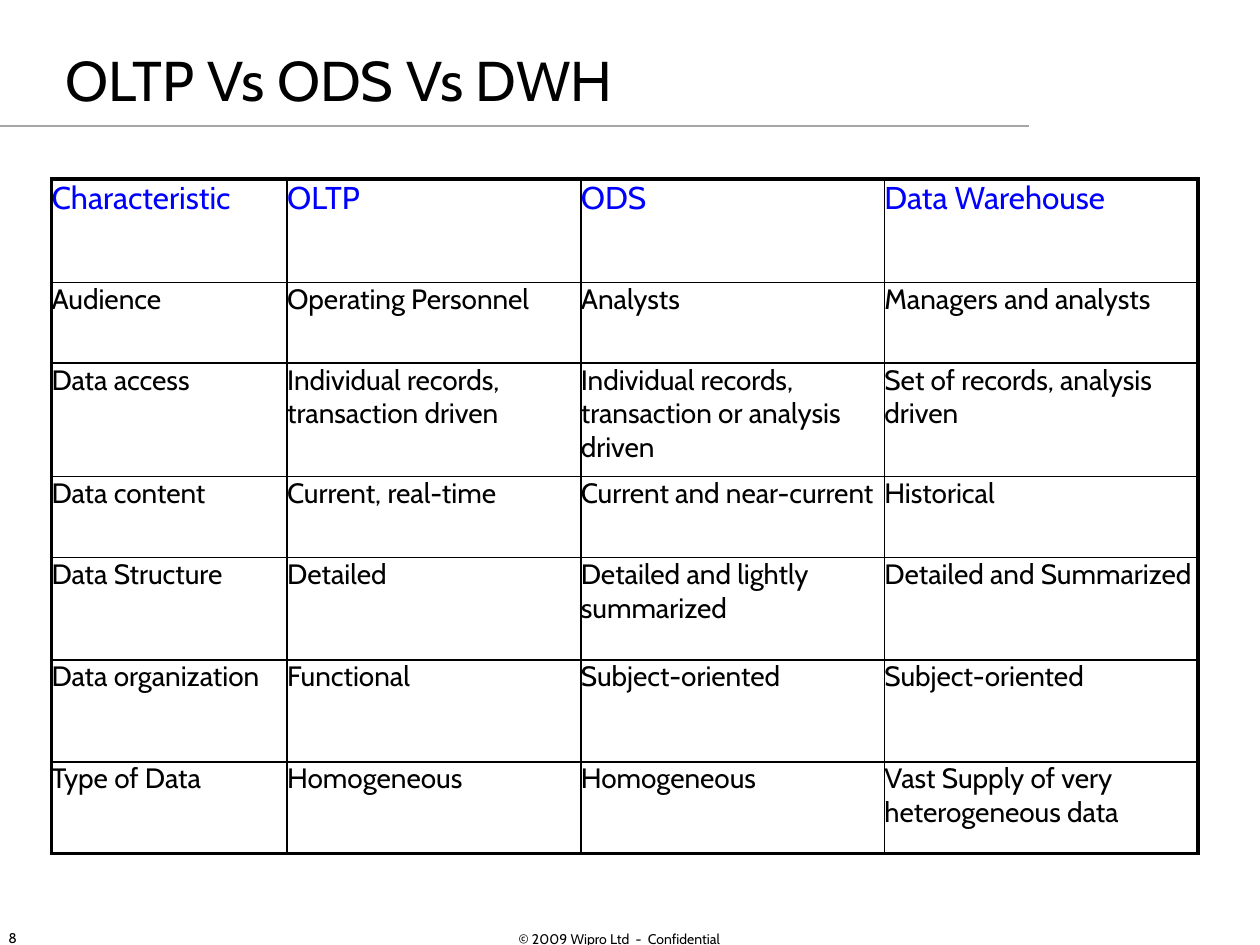
from lxml import etree
from pptx import Presentation
from pptx.dml.color import RGBColor
from pptx.enum import shapes, text
from pptx.oxml import ns
from pptx.util import Cm, Pt

FONT = "Cabin"
BLACK, BLUE, GREY = "000000", "0000FF", "A6A6A6"
THIN, THICK = Pt(1), Pt(2.25)

COLUMN_WIDTHS = [4.75, 5.92, 6.12, 6.32]
ROW_HEIGHTS = [2.08, 1.63, 2.29, 1.63, 2.06, 2.06, 1.85]
ROWS = [
    ["Characteristic", "OLTP", "ODS", "Data Warehouse"],
    ["Audience", "Operating Personnel", "Analysts", "Managers and analysts"],
    ["Data access", "Individual records, transaction driven",
     "Individual records, transaction or analysis driven",
     "Set of records, analysis driven"],
    ["Data content", "Current, real-time", "Current and near-current", "Historical"],
    ["Data Structure", "Detailed", "Detailed and lightly summarized",
     "Detailed and Summarized"],
    ["Data organization", "Functional", "Subject-oriented", "Subject-oriented"],
    ["Type of Data", "Homogeneous", "Homogeneous",
     "Vast Supply of very heterogeneous data"],
]


def color(value):
    return RGBColor.from_string(value)


def apply(target, values):
    for name, value in values.items():
        setattr(target, name, value)


def write(frame, words, size, ink=BLACK, align=text.PP_ALIGN.LEFT):
    para = frame.paragraphs[0]
    para.alignment = align
    span = para.add_run()
    span.text = words
    apply(span.font, {"name": FONT, "size": Pt(size), "bold": False})
    span.font.color.rgb = color(ink)


def add_title(page, words):
    title = page.shapes.title
    apply(title, {"left": Cm(1.07), "top": Cm(0.79),
                  "width": Cm(12.5), "height": Cm(1.6)})
    apply(title.text_frame, {"vertical_anchor": text.MSO_ANCHOR.TOP,
                             "auto_size": text.MSO_AUTO_SIZE.NONE,
                             "word_wrap": True})
    write(title.text_frame, words, 32)


def add_footer(page, words, left, top, width, align):
    box = page.shapes.add_textbox(Cm(left), Cm(top), Cm(width), Cm(1.02))
    apply(box.text_frame, {"word_wrap": True,
                           "vertical_anchor": text.MSO_ANCHOR.MIDDLE})
    write(box.text_frame, words, 8, align=align)


def add_rule(page, top, right):
    rule = page.shapes.add_connector(
        shapes.MSO_CONNECTOR.STRAIGHT, 0, Cm(top), Cm(right), Cm(top))
    rule.line.color.rgb = color(GREY)
    rule.line.width = Pt(0.75)
    etree.SubElement(rule._element.spPr, ns.qn("a:effectLst"))


def set_borders(cell, widths):
    """Draw black cell edges; widths are keyed L, R, T, B in schema order."""
    properties = cell._tc.get_or_add_tcPr()
    for index, (side, width) in enumerate(widths.items()):
        edge = etree.Element(ns.qn(f"a:ln{side}"), w=str(width))
        fill = etree.SubElement(edge, ns.qn("a:solidFill"))
        etree.SubElement(fill, ns.qn("a:srgbClr"), val=BLACK)
        properties.insert(index, edge)


def add_comparison(page, left, top):
    last_row, last_column = len(ROWS) - 1, len(COLUMN_WIDTHS) - 1
    table = page.shapes.add_table(
        len(ROWS), len(COLUMN_WIDTHS), Cm(left), Cm(top),
        Cm(sum(COLUMN_WIDTHS)), Cm(sum(ROW_HEIGHTS))).table
    apply(table, {"first_row": False, "horz_banding": False})
    for column, width in zip(table.columns, COLUMN_WIDTHS):
        column.width = Cm(width)
    for r, (row, height) in enumerate(zip(table.rows, ROW_HEIGHTS)):
        row.height = Cm(height)
        size, ink = (18, BLUE) if r == 0 else (16, BLACK)
        for c, cell in enumerate(row.cells):
            apply(cell, {"margin_left": 0, "margin_right": 0,
                         "margin_top": 0, "margin_bottom": 0})
            cell.fill.background()
            write(cell.text_frame, ROWS[r][c], size, ink)
            outer = {"L": c == 0, "R": c == last_column,
                     "T": r == 0, "B": r == last_row}
            set_borders(cell, {side: THICK if edge else THIN
                               for side, edge in outer.items()})


def main():
    deck = Presentation()
    apply(deck, {"slide_width": Cm(25.4), "slide_height": Cm(19.05)})
    page = deck.slides.add_slide(deck.slide_layouts.get_by_name("Title Only"))
    add_rule(page, 2.54, 20.75)
    add_footer(page, "© 2009 Wipro Ltd  -  Confidential", 6.99, 18.42, 11,
               text.PP_ALIGN.CENTER)
    add_footer(page, "8", -0.08, 18.39, 5.92, text.PP_ALIGN.LEFT)
    add_comparison(page, 1.04, 3.61)
    add_title(page, "OLTP Vs ODS Vs DWH")
    deck.save("out.pptx")


if __name__ == "__main__":
    main()
